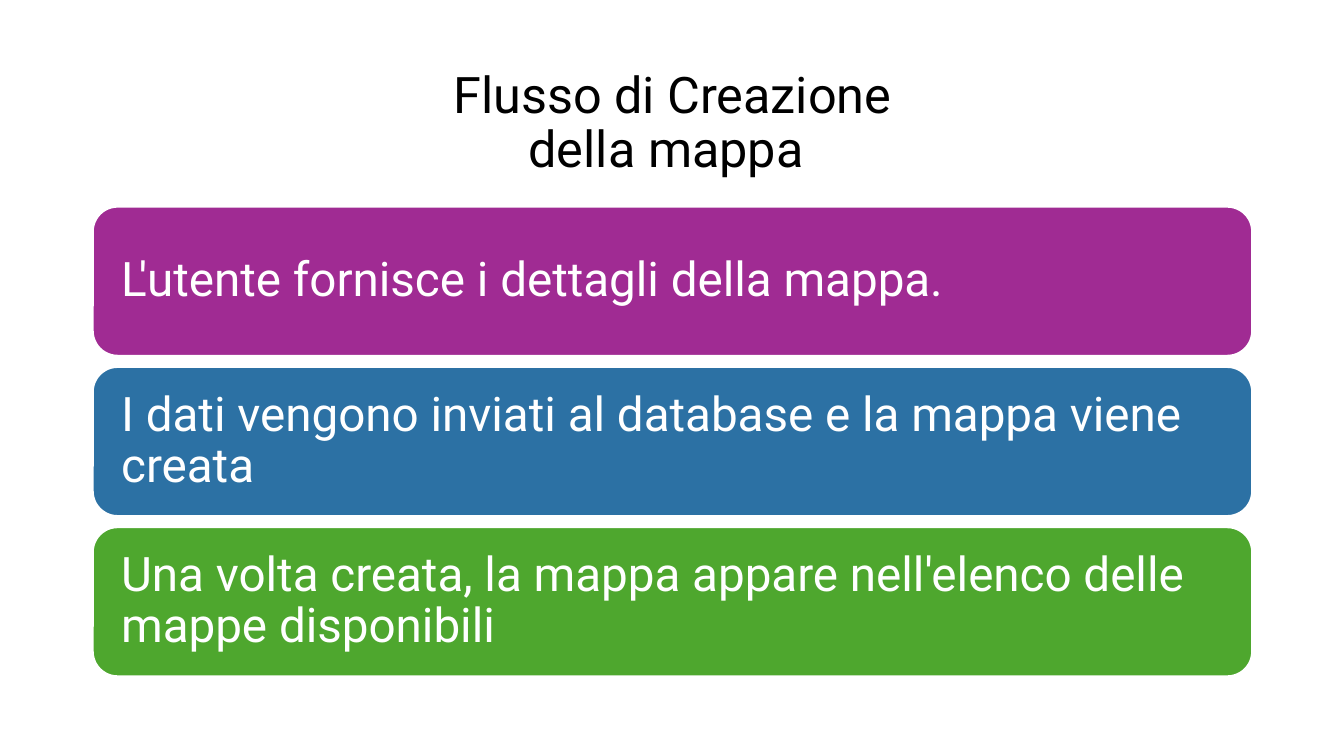
import pptx
import pptx.dml.color
import pptx.enum.shapes
import pptx.enum.text
import pptx.util
from pptx.util import Inches

TITLE = "Flusso di Creazione\vdella mappa "
STEPS = [
    ("L'utente fornisce i dettagli della mappa.", "A02B93"),
    ("I dati vengono inviati al database e la mappa viene creata", "2C71A4"),
    ("Una volta creata, la mappa appare nell'elenco delle mappe disponibili", "4EA72E"),
]
LEFT, WIDTH = 0.92, 11.5
TITLE_TOP, TITLE_HEIGHT = 0.61, 1.24
STEPS_TOP, STEP_HEIGHT, STEP_PITCH = 2.05, 1.48, 1.59
STEP_INSET = 0.21


def rgb(value):
    return pptx.dml.color.RGBColor.from_string(value)


def write(shape, text, size, color, align):
    frame = shape.text_frame
    frame.word_wrap = True
    frame.vertical_anchor = pptx.enum.text.MSO_ANCHOR.MIDDLE
    frame.text = text
    paragraph = frame.paragraphs[0]
    paragraph.alignment = align
    paragraph.line_spacing = 0.9
    for run in paragraph.runs:
        run.font.name = "Roboto"
        run.font.size = pptx.util.Pt(size)
        run.font.color.rgb = rgb(color)


def add_step(slide, top, text, fill):
    step = slide.shapes.add_shape(
        pptx.enum.shapes.MSO_SHAPE.ROUNDED_RECTANGLE,
        Inches(LEFT), Inches(top), Inches(WIDTH), Inches(STEP_HEIGHT))
    step.shadow.inherit = False
    step.fill.solid()
    step.fill.fore_color.rgb = rgb(fill)
    step.line.color.rgb = rgb("FFFFFF")
    step.line.width = pptx.util.Pt(1.5)
    frame = step.text_frame
    frame.margin_left = frame.margin_right = Inches(STEP_INSET)
    frame.margin_top = frame.margin_bottom = Inches(STEP_INSET)
    write(step, text, 34, "FFFFFF", pptx.enum.text.PP_ALIGN.LEFT)


def main():
    deck = pptx.Presentation()
    deck.slide_width, deck.slide_height = Inches(13.33), Inches(7.5)
    slide = deck.slides.add_slide(deck.slide_layouts[6])

    title = slide.shapes.add_textbox(
        Inches(LEFT), Inches(TITLE_TOP), Inches(WIDTH), Inches(TITLE_HEIGHT))
    write(title, TITLE, 36, "000000", pptx.enum.text.PP_ALIGN.CENTER)

    for index, (text, fill) in enumerate(STEPS):
        add_step(slide, STEPS_TOP + index * STEP_PITCH, text, fill)

    deck.save("out.pptx")


if __name__ == "__main__":
    main()
